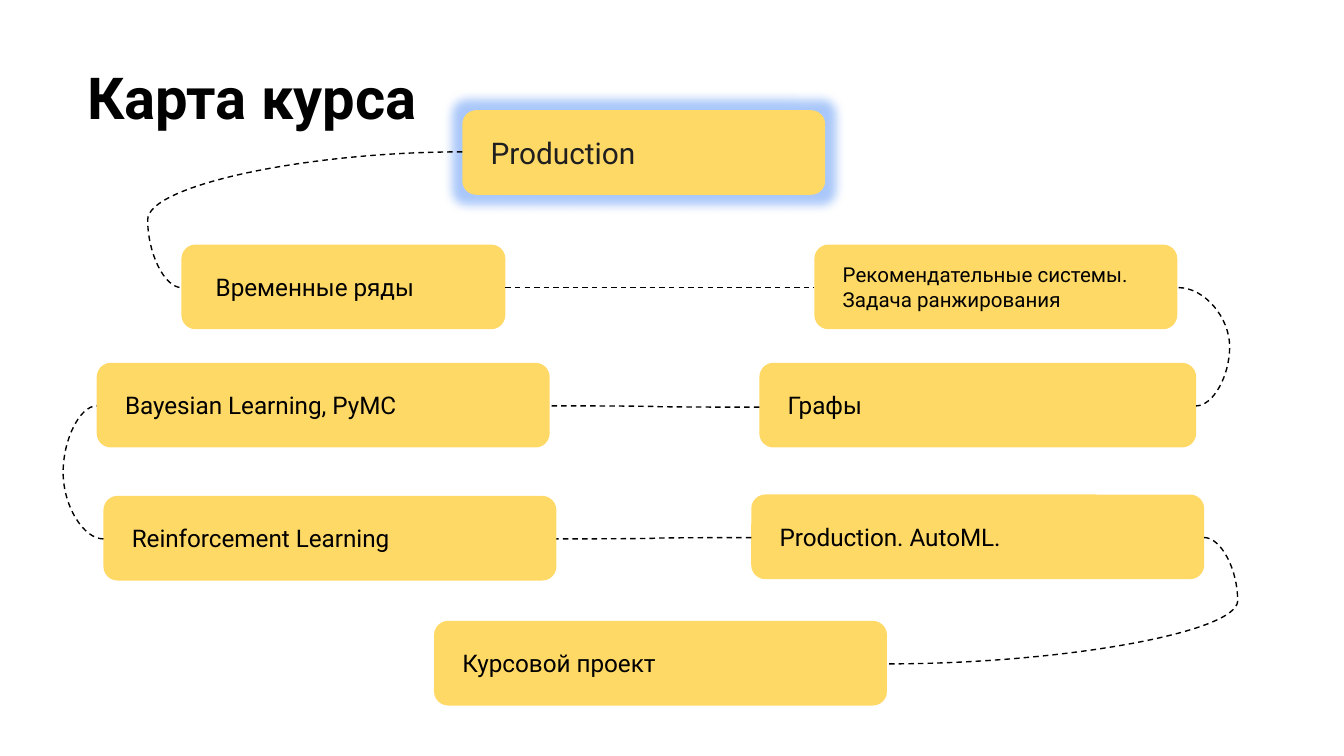
from lxml import etree
from pptx import Presentation
from pptx import util as u
from pptx.dml.color import RGBColor
from pptx.enum import dml, shapes, text
from pptx.oxml.ns import qn

BLACK = RGBColor(0x00, 0x00, 0x00)
INK = RGBColor(0x1F, 0x1F, 0x1F)
GOLD = RGBColor(0xFF, 0xD9, 0x66)
BLUE = RGBColor(0x42, 0x85, 0xF4)
FONT = "Roboto"
WIDE = 10
TALL = 0.63

TOPICS = [
    (1.35, 1.82, 2.41, " Временные ряды", 13),
    (6.06, 1.82, 2.7, "Рекомендательные системы. Задача ранжирования", 11),
    (5.65, 2.7, 3.25, "Графы", 13),
    (0.72, 2.7, 3.37, "Bayesian Learning, PyMC", 13),
    (0.77, 3.69, 3.37, "Reinforcement Learning", 13),
    (5.59, 3.68, 3.37, "Production. AutoML.", 13),
    (3.23, 4.62, 3.37, "Курсовой проект", 13),
]

LINKS = [
    (3.44, 1.13, 1.35, 2.14, 1.1),
    (3.76, 2.14, 6.06, 2.14, 4.91),
    (8.77, 2.14, 8.9, 3.02, 9.15),
    (5.65, 3.03, 4.09, 3.02, 4.87),
    (0.77, 4.01, 0.72, 3.02, 0.47),
    (5.59, 4, 4.14, 4.01, 4.87),
    (8.96, 4, 6.6, 4.94, 9.21),
]


def write(shape, words, size, color, side, bold=False):
    """Put left-aligned text in a shape with even margins."""
    frame = shape.text_frame
    frame.word_wrap = True
    frame.margin_left = frame.margin_right = u.Inches(side)
    frame.margin_top = frame.margin_bottom = u.Inches(0.1)
    frame.text = words
    para = frame.paragraphs[0]
    para.alignment = text.PP_ALIGN.LEFT
    font = para.runs[0].font
    font.name, font.size, font.bold = FONT, u.Pt(size), bold
    font.color.rgb = color


def add_title(slide, words):
    """Add the slide heading."""
    box = slide.shapes.add_textbox(
        u.Inches(0.55), u.Inches(0.36), u.Inches(9.32), u.Inches(1.2))
    write(box, words, 31, BLACK, 0.1, True)


def add_topic(slide, left, top, width, words, size, color=BLACK):
    """Add a rounded topic card and return it."""
    card = slide.shapes.add_shape(
        shapes.MSO_SHAPE.ROUNDED_RECTANGLE,
        u.Inches(left), u.Inches(top), u.Inches(width), u.Inches(TALL))
    card.shadow.inherit = False
    card.fill.solid()
    card.fill.fore_color.rgb = GOLD
    card.line.fill.background()
    write(card, words, size, color, 0.18)
    card.text_frame.vertical_anchor = text.MSO_ANCHOR.MIDDLE
    return card


def add_glow(card):
    """Surround a card with a soft blue glow."""
    effects = card._element.spPr.find(qn("a:effectLst"))
    glow = etree.SubElement(effects, qn("a:glow"), rad=str(u.Inches(0.15)))
    tint = etree.SubElement(glow, qn("a:srgbClr"), val=str(BLUE))
    etree.SubElement(tint, qn("a:alpha"), val="45000")


def add_link(slide, x1, y1, x2, y2, bend):
    """Join two points with a dashed curve that turns at x = bend."""
    link = slide.shapes.add_connector(
        shapes.MSO_CONNECTOR.CURVE,
        u.Inches(x1), u.Inches(y1), u.Inches(x2), u.Inches(y2))
    link.line.color.rgb = BLACK
    link.line.width = u.Pt(0.75)
    link.line.dash_style = dml.MSO_LINE.DASH
    props = link._element.spPr
    etree.SubElement(props, qn("a:effectLst"))
    guides = props.find(qn("a:prstGeom")).get_or_add_avLst()
    ratio = round((bend - x1) / (x2 - x1) * 100000)
    etree.SubElement(guides, qn("a:gd"), name="adj1", fmla=f"val {ratio}")


def main():
    """Build the course map slide."""
    deck = Presentation()
    deck.slide_width, deck.slide_height = u.Inches(WIDE), u.Inches(WIDE * 9 / 16)
    slide = deck.slides.add_slide(deck.slide_layouts[6])
    add_title(slide, "Карта курса")
    add_glow(add_topic(slide, 3.44, 0.82, 2.7, "Production", 16, INK))
    for topic in TOPICS:
        add_topic(slide, *topic)
    for link in LINKS:
        add_link(slide, *link)
    deck.save("out.pptx")


if __name__ == "__main__":
    main()
